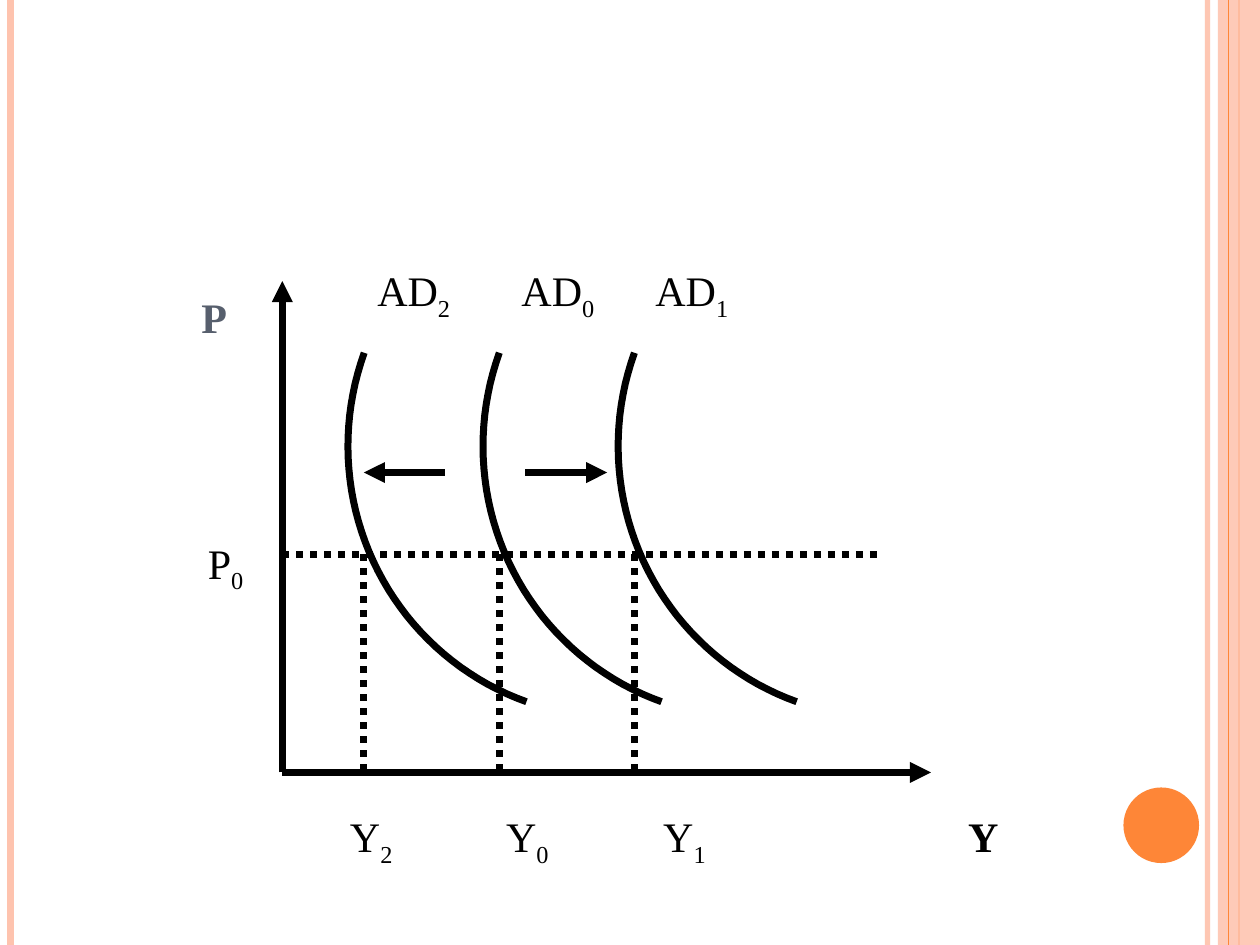
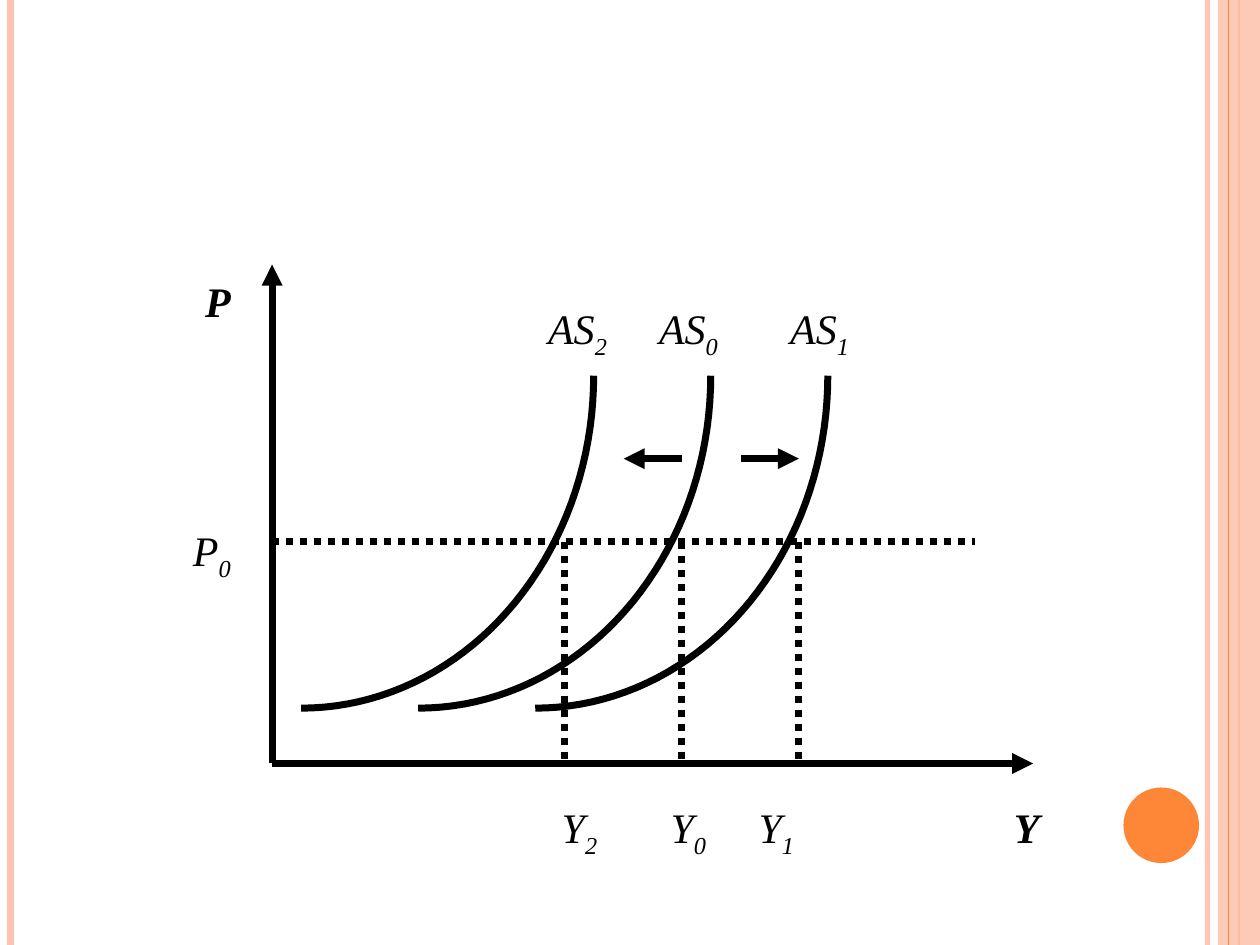
from math import cos, pi, sin

from lxml import etree
from pptx import Presentation
from pptx.dml.color import RGBColor
from pptx.enum.dml import MSO_LINE
from pptx.enum.shapes import MSO_CONNECTOR, MSO_SHAPE
from pptx.enum.text import MSO_ANCHOR, PP_ALIGN
from pptx.oxml.ns import qn
from pptx.util import Pt

STRAIGHT = MSO_CONNECTOR.STRAIGHT
RECTANGLE, OVAL = MSO_SHAPE.RECTANGLE, MSO_SHAPE.OVAL
DOTTED = MSO_LINE.ROUND_DOT
LEFT, CENTER, RIGHT = PP_ALIGN.LEFT, PP_ALIGN.CENTER, PP_ALIGN.RIGHT
TOP = MSO_ANCHOR.TOP
BLACK, WHITE, PEACH, ORANGE, SLATE = "000000", "FFFFFF", "FEC3AE", "FE8637", "575F6D"
WIDTH, HEIGHT = 720, 540
ARC_STEPS = 40


def color(hex_string):
    """Turn a hex string into a colour."""
    return RGBColor.from_string(hex_string)


def apply(target, values):
    """Set attributes from a dict of format values."""
    for name, value in values.items():
        setattr(target, name, value)


def set_alpha(parent, percent):
    """Make the solid colour inside an element partly transparent."""
    rgb = parent.find(".//" + qn("a:srgbClr"))
    etree.SubElement(rgb, qn("a:alpha"), val=str(percent * 1000))


class Deck:
    """Hold the style and the current slide, and draw elements on it."""

    font = {"name": "Times New Roman", "size": Pt(24)}
    frame = {"word_wrap": True, "vertical_anchor": TOP, "margin_top": Pt(6)}
    stroke = 4

    def __init__(self):
        """Start an empty presentation."""
        self.prs = Presentation()
        apply(self.prs, {"slide_width": Pt(WIDTH), "slide_height": Pt(HEIGHT)})
        self.slide = None

    def new_slide(self):
        """Add a slide with the shared side bands and disc."""
        self.slide = self.prs.slides.add_slide(self.prs.slide_layouts[6])
        self.band_line(690, PEACH, 3, 93)
        self.band_line(6, PEACH, 4.5)
        self.band_line(708, ORANGE, 1.5)
        band = self.shape(RECTANGLE, 696, 0, 24, HEIGHT, PEACH)
        set_alpha(band._element.spPr, 87)
        self.band_line(702, ORANGE, 0.75)
        self.shape(OVAL, 642, 450, 43.2, 43.2, ORANGE)

    def band_line(self, x, hex_string, width, alpha=None):
        """Draw a line over the full height of the slide."""
        edge = self.line((x, 0), (x, HEIGHT), hex_string, width)
        if alpha:
            set_alpha(edge._element.spPr, alpha)

    def line(self, start, end, hex_string=BLACK, width=stroke, dash=None, arrow=False):
        """Draw a straight line, dotted or with an arrowhead if asked."""
        connector = self.slide.shapes.add_connector(
            STRAIGHT, *(Pt(value) for value in (*start, *end)))
        connector.line.color.rgb = color(hex_string)
        connector.line.width = Pt(width)
        if dash:
            connector.line.dash_style = dash
        properties = connector._element.spPr
        if arrow:
            etree.SubElement(properties.find(qn("a:ln")), qn("a:tailEnd"), type="triangle")
        etree.SubElement(properties, qn("a:effectLst"))
        return connector

    def shape(self, kind, left, top, width, height, fill):
        """Draw a filled preset shape without outline."""
        shape = self.slide.shapes.add_shape(
            kind, Pt(left), Pt(top), Pt(width), Pt(height))
        shape.shadow.inherit = False
        shape.fill.solid()
        shape.fill.fore_color.rgb = color(fill)
        shape.line.fill.background()
        return shape

    def arc(self, left, top, width, height, rotation=0, rising=False):
        """Draw a quarter of an ellipse that falls or rises to the right."""
        angles = [step * pi / 2 / ARC_STEPS for step in range(ARC_STEPS + 1)]
        points = [(Pt(left + width * sin(angle)),
                   Pt(top + height * (cos(angle) if rising else 1 - cos(angle))))
                  for angle in angles]
        builder = self.slide.shapes.build_freeform(*points[0])
        builder.add_line_segments(points[1:], close=False)
        curve = builder.convert_to_shape()
        curve.shadow.inherit = False
        curve.fill.background()
        apply(curve.line, {"width": Pt(self.stroke)})
        curve.line.color.rgb = color(BLACK)
        curve.rotation = rotation

    def labels(self, box, words, align=LEFT, stops=(), italic=False, ink=BLACK):
        """Write (text, subscript, bold) labels, each at its own tab stop."""
        panel = self.shape(RECTANGLE, *box, WHITE)
        apply(panel.text_frame, self.frame)
        paragraph = panel.text_frame.paragraphs[0]
        paragraph.alignment = align
        if stops:
            panel.text_frame.margin_left = Pt(stops[0] - box[0])
            panel.text_frame.margin_right = 0
            tabs = etree.SubElement(paragraph._p.get_or_add_pPr(), qn("a:tabLst"))
            for stop in stops[1:]:
                etree.SubElement(tabs, qn("a:tab"), pos=str(Pt(stop - stops[0])), algn="l")
        for index, (text, subscript, bold) in enumerate(words):
            for part, lowered in (("\t" * (index > 0) + text, False), (subscript, True)):
                if not part:
                    continue
                run = paragraph.add_run()
                run.text = part
                apply(run.font, {**self.font, "bold": bold, "italic": italic})
                run.font.color.rgb = color(ink)
                if lowered:
                    run._r.get_or_add_rPr().set("baseline", "-25000")

    def graph(self, origin, axis_ends, price, price_end, outputs, pitch, curve, shifts):
        """Draw axes, price level, three shifted curves and their outputs."""
        x0, y0 = origin
        x_end, y_end = axis_ends
        self.line(origin, (x_end, y0), arrow=True)
        self.line(origin, (x0, y_end), arrow=True)
        self.line((x0, price), (price_end, price), dash=DOTTED)
        for index in range(3):
            offset = index * pitch
            self.arc(**{**curve, "left": curve["left"] + offset})
            self.line((outputs + offset, price), (outputs + offset, y0), dash=DOTTED)
        shift_y, *spans = shifts
        for start, end in spans:
            self.line((start, shift_y), (end, shift_y), arrow=True)


def curve_names(name):
    """Give the labels of the three curves or outputs from left to right."""
    return [(name, subscript, False) for subscript in "201"]


def main():
    """Build both slides and save them."""
    deck = Deck()
    output_names = curve_names("Y") + [("Y", "", True)]
    price_name, price_axis = [("P", "0", False)], [("P", "", True)]

    deck.new_slide()
    deck.graph(
        origin=(161.3, 441.4), axis_ends=(532, 160.6), price=316.8, price_end=501,
        outputs=208, pitch=77.2,
        curve={"left": 177.1, "top": 223.2, "width": 154.8, "height": 156.2,
               "rotation": 199.8},
        shifts=(270, (300.2, 347), (254.2, 208)))
    deck.labels((177, 457.2, 417, 46.8), output_names, stops=(200, 289.2, 379, 553.2))
    deck.labels((84.2, 301, 62, 62.6), price_name, RIGHT)
    deck.labels((99.4, 160.6, 46, 46.8), price_axis, CENTER, ink=SLATE)
    deck.labels((192.2, 145.4, 247, 46.8), curve_names("AD"), stops=(215.6, 298, 374.5))

    deck.new_slide()
    deck.graph(
        origin=(155.5, 436.3), axis_ends=(590.4, 151.2), price=309.6, price_end=557.3,
        outputs=322.6, pitch=66.9,
        curve={"left": 172.1, "top": 214.6, "width": 167.2, "height": 190.1,
               "rising": True},
        shifts=(262.1, (423.4, 456.5), (389.5, 356.4)))
    deck.labels((289.4, 167, 217.4, 47.5), curve_names("AS"),
                stops=(313.2, 376.6, 451.5), italic=True)
    deck.labels((289.4, 452.2, 334.8, 47.5), output_names,
                stops=(321, 383.2, 433.5, 579.4), italic=True)
    deck.labels((72, 293.8, 67, 47.5), price_name, RIGHT, italic=True)
    deck.labels((88.6, 151.2, 50.4, 47.5), price_axis, RIGHT, italic=True)
    deck.prs.save("out.pptx")


if __name__ == "__main__":
    main()
